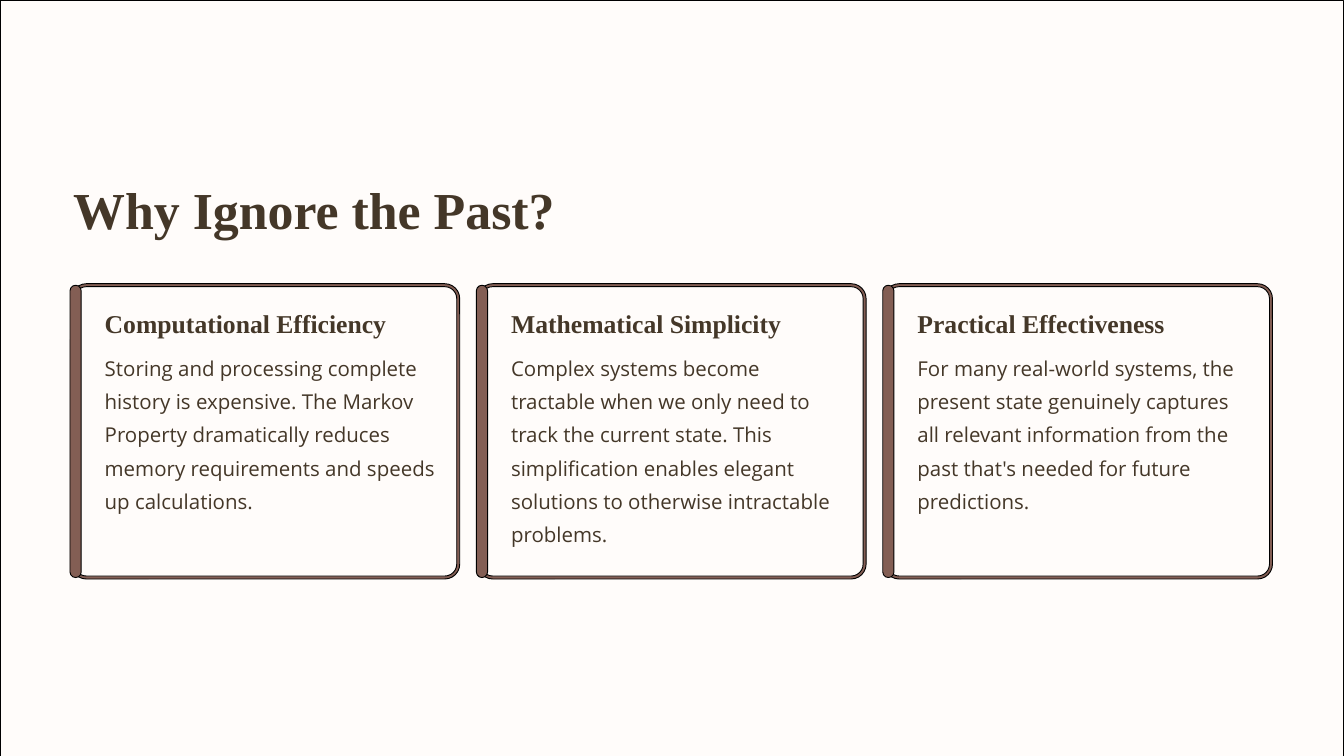
from pptx import Presentation
from pptx.dml.color import RGBColor
from pptx.enum.shapes import MSO_SHAPE
from pptx.util import Pt

RECTANGLE = MSO_SHAPE.RECTANGLE
ROUNDED = MSO_SHAPE.ROUNDED_RECTANGLE

TITLE = "Why Ignore the Past?"
CARDS = [
    ("Computational Efficiency",
     "Storing and processing complete history is expensive. The Markov Property "
     "dramatically reduces memory requirements and speeds up calculations."),
    ("Mathematical Simplicity",
     "Complex systems become tractable when we only need to track the current state. "
     "This simplification enables elegant solutions to otherwise intractable problems."),
    ("Practical Effectiveness",
     "For many real-world systems, the present state genuinely captures all relevant "
     "information from the past that's needed for future predictions."),
]

COLORS = {"cream": "FFFCFA", "brown": "835E54", "text": "443728", "outline": "000000"}
SERIF, SANS = "Times New Roman", "Open Sans"

PAGE_WIDTH, PAGE_HEIGHT = 1440, 810
CARD_LEFT, CARD_TOP = 76.6, 304
CARD_WIDTH, CARD_HEIGHT = 416, 316.4
CARD_PITCH = 435.4
FRAME = 3.2
RADIUS = 16
BAR_WIDTH = 12
BAR_INSET = 1.6
TEXT_INSET = 35.6
TEXT_WIDTH = 355


def color(name):
    return RGBColor.from_string(COLORS[name])


def add_panel(page, kind, left, top, width, height, fill, radius=0):
    panel = page.shapes.add_shape(kind, Pt(left), Pt(top), Pt(width), Pt(height))
    if kind == ROUNDED:
        panel.adjustments[0] = radius / min(width, height)
    panel.shadow.inherit = False
    panel.fill.solid()
    panel.fill.fore_color.rgb = color(fill)
    panel.line.color.rgb = color("outline")
    panel.line.width = Pt(1)


def add_text(page, text, left, top, width, height, font, size, spacing, bold=False, wrap=False):
    box = page.shapes.add_textbox(Pt(left), Pt(top), Pt(width), Pt(height))
    frame = box.text_frame
    frame.margin_left = frame.margin_right = frame.margin_top = frame.margin_bottom = 0
    frame.word_wrap = wrap
    para = frame.paragraphs[0]
    para.text = text
    para.line_spacing = Pt(spacing)
    para.font.name = font
    para.font.size = Pt(size)
    para.font.bold = bold
    para.font.color.rgb = color("text")


def add_card(page, left, heading, body):
    add_panel(page, ROUNDED, left, CARD_TOP, CARD_WIDTH, CARD_HEIGHT, "brown", RADIUS)
    add_panel(page, ROUNDED, left + FRAME, CARD_TOP + FRAME, CARD_WIDTH - 2 * FRAME,
              CARD_HEIGHT - 2 * FRAME, "cream", RADIUS - FRAME)
    add_panel(page, ROUNDED, left - BAR_INSET, CARD_TOP + BAR_INSET, BAR_WIDTH,
              CARD_HEIGHT - 2 * BAR_INSET, "brown", BAR_WIDTH / 2)
    text_left = left + TEXT_INSET
    add_text(page, heading, text_left, 328.3, 303, 37.4, SERIF, 27.5, 34.4, bold=True)
    add_text(page, body, text_left, 372.2, TEXT_WIDTH, 221, SANS, 21.9, 35.6, wrap=True)


def main():
    deck = Presentation()
    deck.slide_width, deck.slide_height = Pt(PAGE_WIDTH), Pt(PAGE_HEIGHT)
    page = deck.slides.add_slide(deck.slide_layouts[6])
    add_panel(page, RECTANGLE, 0, 0, PAGE_WIDTH, PAGE_HEIGHT, "cream")
    add_text(page, TITLE, 78.4, 187.2, 558, 73.4, SERIF, 55.6, 69.4, bold=True)
    for index, (heading, body) in enumerate(CARDS):
        add_card(page, CARD_LEFT + index * CARD_PITCH, heading, body)
    deck.save("out.pptx")


if __name__ == "__main__":
    main()
